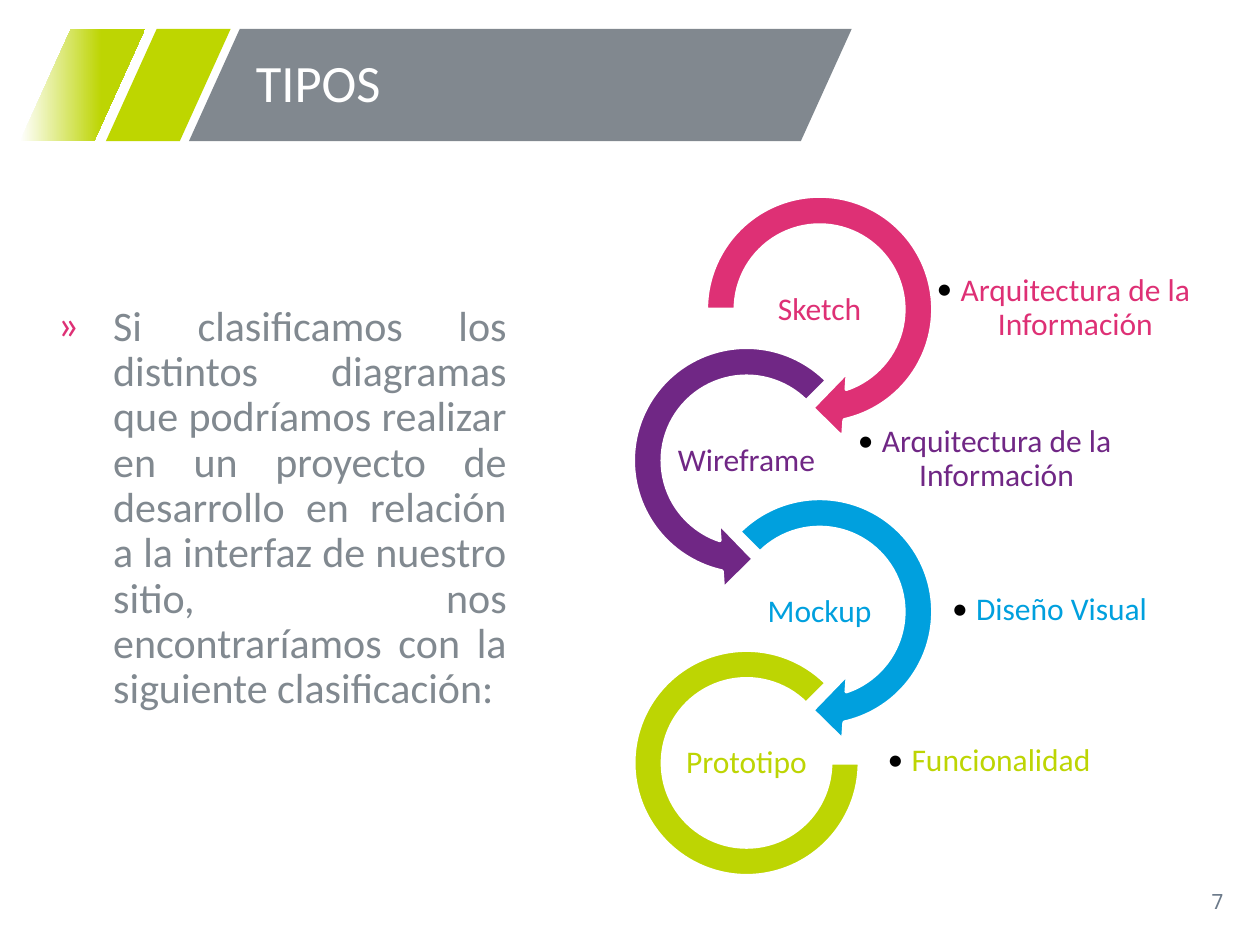
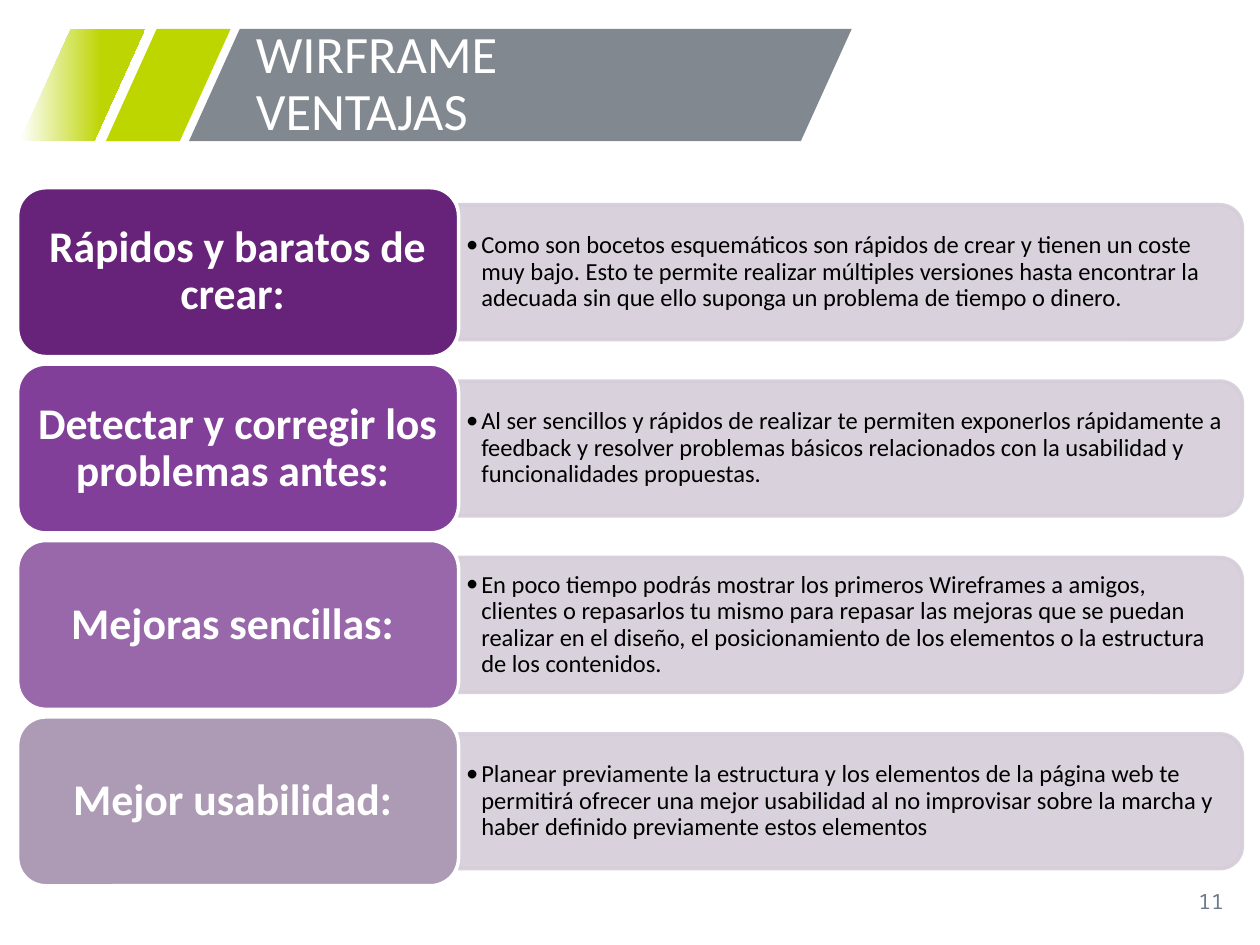
import pptx
import pptx.util
import pptx.dml.color
import pptx.enum.shapes
import pptx.enum.text
import pptx.oxml.ns
import lxml.etree

Inches = pptx.util.Inches
SHAPE = pptx.enum.shapes.MSO_SHAPE
ALIGN = pptx.enum.text.PP_ALIGN
ANCHOR = pptx.enum.text.MSO_ANCHOR

COLORS = {
    "white": "FFFFFF", "black": "000000", "lime": "BED600", "leaf": "BDD503",
    "banner": "81888F", "body": "818990", "number": "6C7A8A",
    "pink": "DE3075", "purple": "702785", "blue": "00A0DE", "panel": "D5CDD9",
    "row1": "662379", "row2": "823F99", "row3": "9868AB", "row4": "AD9AB5",
}
FONT = "Calibri"
NUMBER_FONT = "Noto Sans Mono"
WIDE_INSET = (0.1, 0.05)
THIN_INSET = (0.01, 0.01)

# Shape, colour, step name, detail text, left and width of the detail
STEPS = [
    (SHAPE.CIRCULAR_ARROW, (0.11, 11.423, 45, 108, 0.125), "pink",
     "Sketch", "Arquitectura de la Información", 7.42, 2.04),
    (SHAPE.LEFT_CIRCULAR_ARROW, (0.11, 11.423, 63, 189, 0.125), "purple",
     "Wireframe", "Arquitectura de la Información", 6.55, 2.53),
    (SHAPE.CIRCULAR_ARROW, (0.11, 11.423, 45, 135, 0.125), "blue",
     "Mockup", "Diseño Visual", 7.24, 2.18),
    (SHAPE.BLOCK_ARC, (0, 189, 0.127), "leaf",
     "Prototipo", "Funcionalidad", 6.91, 1.88),
]
ADVANTAGES = [
    ("Rápidos y baratos de crear: ",
     "Como son bocetos esquemáticos son rápidos de crear y tienen un coste muy bajo. "
     "Esto te permite realizar múltiples versiones hasta encontrar la adecuada sin que "
     "ello suponga un problema de tiempo o dinero."),
    ("Detectar y corregir los problemas antes: ",
     "Al ser sencillos y rápidos de realizar te permiten exponerlos rápidamente a "
     "feedback y resolver problemas básicos relacionados con la usabilidad y "
     "funcionalidades propuestas."),
    ("Mejoras sencillas: ",
     "En poco tiempo podrás mostrar los primeros Wireframes a amigos, clientes o "
     "repasarlos tu mismo para repasar las mejoras que se puedan realizar en el diseño, "
     "el posicionamiento de los elementos o la estructura de los contenidos."),
    ("Mejor usabilidad: ",
     "Planear previamente la estructura y los elementos de la página web te permitirá "
     "ofrecer una mejor usabilidad al no improvisar sobre la marcha y haber definido "
     "previamente estos elementos"),
]


def rgb(name):
    return pptx.dml.color.RGBColor.from_string(COLORS[name])


def add_element(parent, tag, **attributes):
    return lxml.etree.SubElement(parent, pptx.oxml.ns.qn(tag), attributes)


def add_bullet(para, mark, color, indent):
    properties = para._p.get_or_add_pPr()
    properties.set("marL", str(Inches(indent[0])))
    properties.set("indent", str(Inches(indent[1])))
    add_element(add_element(properties, "a:buClr"), "a:srgbClr", val=COLORS[color])
    add_element(properties, "a:buFont", typeface=FONT)
    add_element(properties, "a:buChar", char=mark)


def write_text(shape, text, size, color, align=ALIGN.LEFT, anchor=ANCHOR.MIDDLE,
               inset=WIDE_INSET, bullet=None, bold=False, font=FONT, spacing=0.9):
    frame = shape.text_frame
    frame.word_wrap = True
    frame.auto_size = pptx.enum.text.MSO_AUTO_SIZE.NONE
    frame.vertical_anchor = anchor
    frame.margin_left = frame.margin_right = Inches(inset[0])
    frame.margin_top = frame.margin_bottom = Inches(inset[1])
    para = frame.paragraphs[0]
    if bullet:
        add_bullet(para, *bullet)
    para.alignment = align
    para.line_spacing = spacing
    for index, line in enumerate(text.split("\n")):
        if index:
            para.add_line_break()
        span = para.add_run()
        span.text = line
        span.font.name = font
        span.font.size = pptx.util.Pt(size)
        span.font.bold = bold
        span.font.color.rgb = rgb(color)


def add_text(page, box, text, size, color, **style):
    shape = page.shapes.add_textbox(*map(Inches, box))
    write_text(shape, text, size, color, **style)


def add_figure(page, kind, box, fill, line=None, adjustments=()):
    shape = page.shapes.add_shape(kind, *map(Inches, box))
    shape.shadow.inherit = False
    for index, value in enumerate(adjustments):
        shape.adjustments[index] = value
    shape.fill.solid()
    shape.fill.fore_color.rgb = rgb(fill)
    if line:
        shape.line.color.rgb = rgb(line)
        shape.line.width = pptx.util.Pt(2)
    else:
        shape.line.fill.background()
    return shape


def add_banner(page, box):
    """Three slanted bands, the leftmost fading to white."""
    left, top, width, height = box
    for offset, band_width, color in ((0.68, 0.99, "lime"), (0, 0.99, "leaf"),
                                      (1.34, width - 1.34, "banner")):
        band = add_figure(page, SHAPE.PARALLELOGRAM,
                          (left + offset, top, band_width, height), color,
                          adjustments=(0.453,))
        if color == "leaf":
            band.fill.gradient()
            band.fill.gradient_angle = 0
            stops = band.fill.gradient_stops
            for stop, position, name in zip(stops, (0, 0.65), ("white", "leaf")):
                stop.position = position
                stop.color.rgb = rgb(name)


def add_page(deck, title_text, number):
    page = deck.slides.add_slide(deck.slide_layouts[5])
    add_banner(page, (0.16, 0.23, 6.6, 0.89))

    # Title, brought in front of the banner
    title = page.shapes.title
    title.left, title.top, title.width, title.height = map(Inches, (1.93, 0.23, 4.69, 0.89))
    write_text(title, title_text, 30, "white")
    title._element.getparent().append(title._element)

    # Page number
    add_text(page, (7.56, 6.95, 2.25, 0.4), number, 12, "number",
             align=ALIGN.RIGHT, font=NUMBER_FONT, spacing=1.0)
    return page


def add_step_chain(page, box):
    """Rings that alternate right and left, each with a name and a detail."""
    left, top, ring, pitch = box
    for index, (kind, adjustments, color, name, detail, detail_left,
                detail_width) in enumerate(STEPS):
        x = left + (0 if index % 2 else 0.58)
        y = top + index * pitch
        margin = 0.15 if kind == SHAPE.BLOCK_ARC else 0
        size = ring - 2 * margin
        add_figure(page, kind, (x + margin, y + margin, size, size),
                   color, "white", adjustments)
        add_text(page, (detail_left, y + 0.62, detail_width, 0.83), detail, 18, color,
                 align=ALIGN.CENTER, inset=THIN_INSET,
                 bullet=("•", "black", (0.19, -0.19)))
        add_text(page, (x + 0.46, y + 0.76, 1.17, 0.58), name, 18, color,
                 align=ALIGN.CENTER, inset=THIN_INSET)


def add_advantage(page, box, color, heading, detail):
    """One row: a heading card and a panel rounded on its right side."""
    left, top, width, height = box
    card_width, panel_height = 3.5, 1.07
    panel_width = width - card_width
    middle = top + height / 2
    panel_center = left + card_width + panel_width / 2
    panel = add_figure(page, SHAPE.ROUND_2_SAME_RECTANGLE,
                       (panel_center - panel_height / 2, middle - panel_width / 2,
                        panel_height, panel_width), "panel", "panel")
    panel.rotation = 90
    for paint in panel._element.spPr.iter(pptx.oxml.ns.qn("a:srgbClr")):
        add_element(paint, "a:alpha", val="90000")
    add_text(page, (left + card_width, middle - 0.48, panel_width - 0.05, 0.96),
             detail, 14, "black", inset=(0.06, 0.03),
             bullet=("•", "black", (0.12, -0.12)))
    add_figure(page, SHAPE.ROUNDED_RECTANGLE, (left, top, card_width, height),
               color, "white")
    add_text(page, (left + 0.06, top + 0.07, card_width - 0.13, height - 0.14),
             heading, 25, "white", align=ALIGN.CENTER, bold=True)


def build_types_page(deck):
    page = add_page(deck, "TIPOS", "7")
    add_text(page, (0.3, 2.37, 3.82, 2.76),
             "Si clasificamos los distintos diagramas que podríamos realizar en un "
             "proyecto de desarrollo en relación a la interfaz de nuestro sitio, nos "
             "encontraríamos con la siguiente clasificación:",
             24, "body", align=ALIGN.JUSTIFY, anchor=ANCHOR.TOP,
             bullet=("»", "pink", (0.5, -0.44)))
    add_step_chain(page, (4.88, 1.41, 2.09, 1.2))


def build_advantages_page(deck):
    page = add_page(deck, "WIRFRAME\nVENTAJAS", "11")
    for index, (heading, detail) in enumerate(ADVANTAGES):
        add_advantage(page, (0.14, 1.49 + index * 1.4, 9.72, 1.34),
                      f"row{index + 1}", heading, detail)


def main():
    deck = pptx.Presentation()
    deck.slide_width, deck.slide_height = Inches(10), Inches(7.5)
    build_types_page(deck)
    build_advantages_page(deck)
    deck.save("out.pptx")


if __name__ == "__main__":
    main()
